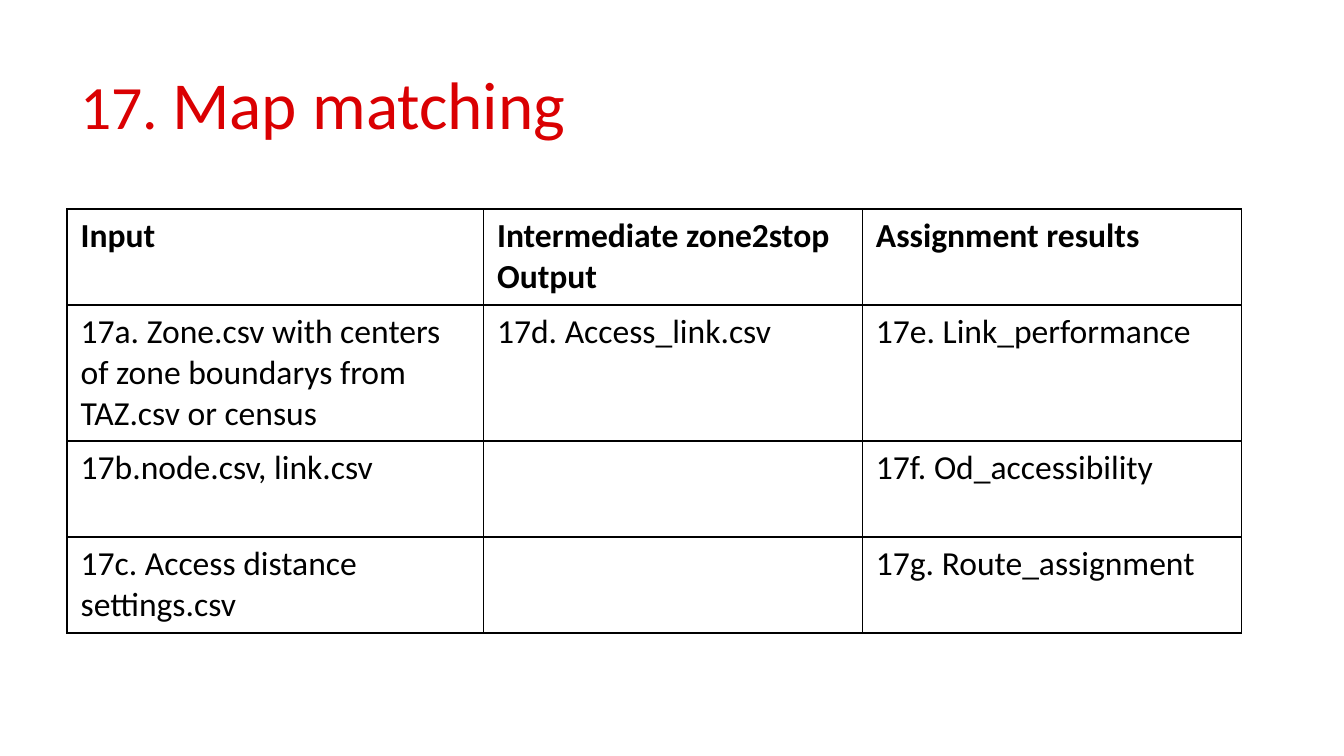
from lxml import etree
from pptx import Presentation
from pptx.dml.color import RGBColor
from pptx.enum.text import MSO_ANCHOR, MSO_AUTO_SIZE, PP_ALIGN
from pptx.oxml.ns import qn
from pptx.util import Cm, Pt

BOTTOM = MSO_ANCHOR.BOTTOM
NO_FIT = MSO_AUTO_SIZE.NONE
LEFT = PP_ALIGN.LEFT

RED = RGBColor(0xDA, 0x00, 0x02)
BLACK = RGBColor(0x00, 0x00, 0x00)

COLUMN_WIDTHS = (7.87, 7.16, 7.16)
ROW_HEIGHTS = (1.81, 2.57, 1.81, 1.81)
ROWS = (
    ("Input", "Intermediate zone2stop Output", "Assignment results"),
    ("17a. Zone.csv with centers of zone boundarys from TAZ.csv or census",
     "17d. Access_link.csv", "17e. Link_performance"),
    ("17b.node.csv, link.csv", "", "17f. Od_accessibility"),
    ("17c. Access distance settings.csv", "", "17g. Route_assignment"),
)


class SlideBuilder:
    font_name = "Calibri"
    cell_size = Pt(18)
    border_width = Pt(1)

    def __init__(self, deck):
        self.page = deck.slides.add_slide(deck.slide_layouts[5])

    def title(self, spans, left, top, width, height):
        box = self.page.shapes.title
        box.left, box.top = Cm(left), Cm(top)
        box.width, box.height = Cm(width), Cm(height)
        frame = box.text_frame
        frame.word_wrap = True
        frame.auto_size = NO_FIT
        frame.vertical_anchor = BOTTOM
        frame.margin_left = frame.margin_right = Cm(0.25)
        frame.margin_top = frame.margin_bottom = Cm(0.25)
        para = frame.paragraphs[0]
        para.alignment = LEFT
        para.line_spacing = 0.9
        para.font.name = self.font_name
        para.font.color.rgb = RED
        for text, size in spans:
            span = para.add_run()
            span.text = text
            span.font.size = Pt(size)

    def table(self, rows, left, top, widths, heights):
        frame = self.page.shapes.add_table(
            len(rows), len(widths), Cm(left), Cm(top),
            Cm(sum(widths)), Cm(sum(heights)))
        grid = frame.table
        grid.horz_banding = False
        for column, width in zip(grid.columns, widths):
            column.width = Cm(width)
        for row, height in zip(grid.rows, heights):
            row.height = Cm(height)
        for row_index, texts in enumerate(rows):
            for column_index, text in enumerate(texts):
                cell = grid.cell(row_index, column_index)
                self.fill_cell(cell, text, row_index == 0)

    def fill_cell(self, cell, text, bold):
        cell.text = text
        para = cell.text_frame.paragraphs[0]
        para.font.name = self.font_name
        para.font.size = self.cell_size
        para.font.bold = bold
        para.font.color.rgb = BLACK
        properties = cell._tc.get_or_add_tcPr()
        for side in ("a:lnL", "a:lnR", "a:lnT", "a:lnB"):
            line = etree.SubElement(properties, qn(side), w=str(self.border_width))
            fill = etree.SubElement(line, qn("a:solidFill"))
            etree.SubElement(fill, qn("a:srgbClr"), val=str(BLACK))
        cell.fill.background()


def main():
    deck = Presentation()
    deck.slide_width, deck.slide_height = Cm(25.4), Cm(14.29)
    builder = SlideBuilder(deck)
    builder.title((("17. ", 33), ("Map matching", 36)), 1.27, 0.59, 22.86, 2.39)
    builder.table(ROWS, 1.27, 3.95, COLUMN_WIDTHS, ROW_HEIGHTS)
    deck.save("out.pptx")


if __name__ == "__main__":
    main()
